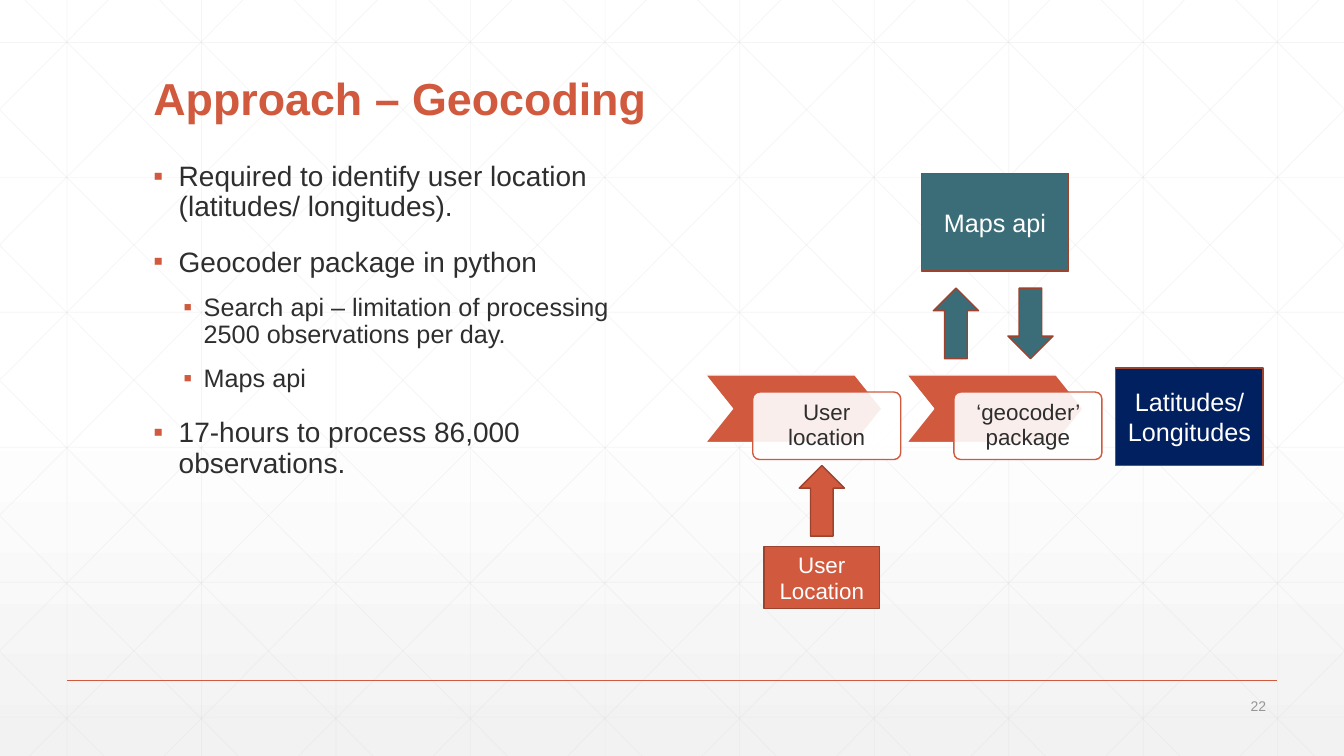
from lxml import etree
from pptx import Presentation
from pptx.dml.color import RGBColor
from pptx.enum.shapes import MSO_CONNECTOR, MSO_SHAPE
from pptx.enum.text import MSO_ANCHOR, MSO_AUTO_SIZE, PP_ALIGN
from pptx.oxml.ns import qn
from pptx.util import Cm, Pt

STRAIGHT = MSO_CONNECTOR.STRAIGHT
RECTANGLE, ROUNDED = MSO_SHAPE.RECTANGLE, MSO_SHAPE.ROUNDED_RECTANGLE
CHEVRON, DOWN_ARROW = MSO_SHAPE.CHEVRON, MSO_SHAPE.DOWN_ARROW
TOP, MIDDLE, BOTTOM = MSO_ANCHOR.TOP, MSO_ANCHOR.MIDDLE, MSO_ANCHOR.BOTTOM
LEFT, CENTER, RIGHT = PP_ALIGN.LEFT, PP_ALIGN.CENTER, PP_ALIGN.RIGHT

COLORS = {
    "accent": "D15A3E", "edge": "9B432E", "teal": "3B6D79", "navy": "002060",
    "text": "2D2E2D", "muted": "959795", "grid": "D9D9D9",
    "white": "FFFFFF", "shade": "F2F2F2",
}
FONT = "Arial"
WIDTH, HEIGHT = 33.87, 19.05
GRID_STEP = 3.39

BULLETS = [
    (0, "Required to identify user location (latitudes/ longitudes)."),
    (0, "Geocoder package in python"),
    (1, "Search api – limitation of processing 2500 observations per day."),
    (1, "Maps api"),
    (0, "17-hours to process 86,000 observations."),
]
# Per level: text size, space before, left margin and hanging indent in cm
LEVELS = [(20, 18, 0.64, 0.64), (18, 12, 1.27, 0.51)]


def color(name):
    return RGBColor.from_string(COLORS[name])


def set_format(target, values):
    for name, value in values.items():
        setattr(target, name, value)


def set_alpha(properties, percent):
    rgb = properties.find(".//" + qn("a:srgbClr"))
    etree.SubElement(rgb, qn("a:alpha")).set("val", str(percent * 1000))


def place(shape, box):
    names = ("left", "top", "width", "height")
    set_format(shape, dict(zip(names, map(Cm, box))))


def write(paragraph, text, size, color_name, bold=False, **layout):
    set_format(paragraph, layout)
    run = paragraph.add_run()
    run.text = text
    set_format(run.font, {"name": FONT, "size": Pt(size), "bold": bold})
    run.font.color.rgb = color(color_name)


def prepare_frame(shape, anchor):
    frame = shape.text_frame
    set_format(frame, {"word_wrap": True, "auto_size": MSO_AUTO_SIZE.NONE,
                       "vertical_anchor": anchor})
    return frame


def add_line(shapes, start, end, color_name, width):
    line = shapes.add_connector(STRAIGHT, *map(Cm, start + end))
    line.line.color.rgb = color(color_name)
    line.line.width = Pt(width)
    etree.SubElement(line._element.spPr, qn("a:effectLst"))
    return line


def add_block(slide, kind, box, fill, edge, text="", size=18,
              text_color="white", **layout):
    shape = slide.shapes.add_shape(kind, *map(Cm, box))
    shape.shadow.inherit = False
    shape.fill.solid()
    shape.fill.fore_color.rgb = color(fill)
    shape.line.color.rgb = color(edge)
    shape.line.width = Pt(1)
    if text:
        frame = prepare_frame(shape, MIDDLE)
        write(frame.paragraphs[0], text, size, text_color,
              alignment=CENTER, **layout)
    return shape


def diagonal(top_x):
    """Ends of a falling diagonal, clipped to the slide."""
    slope = 1.006
    start_x = max(top_x, 0)
    end_x = min(top_x + HEIGHT / slope, WIDTH)
    return [(x, (x - top_x) * slope) for x in (start_x, end_x)]


def add_background(slide):
    fill = slide.background.fill
    fill.gradient()
    fill.gradient_angle = 270
    stops = ((0.53, "white"), (1, "shade"))
    for stop, (position, name) in zip(fill.gradient_stops, stops):
        stop.position = position
        stop.color.rgb = color(name)

    ends = []
    for column in range(10):
        x = 1.69 + column * GRID_STEP
        ends.append([(x, 0), (x, HEIGHT)])
    for row in range(6):
        y = 1.07 + row * 3.4
        ends.append([(0, y), (WIDTH, y)])
    for index in range(-5, 10):
        falling = diagonal(0.63 + index * GRID_STEP)
        ends += [falling, [(WIDTH - x, y) for x, y in falling]]

    grid = slide.shapes.add_group_shape()
    for start, end in ends:
        line = add_line(grid.shapes, start, end, "grid", 0.5)
        set_alpha(line._element.spPr, 25)
    # Send the grid behind the placeholders
    slide.shapes._spTree.insert(2, grid._element)


def add_title(slide, box):
    title = slide.shapes.title
    place(title, box)
    frame = prepare_frame(title, BOTTOM)
    write(frame.paragraphs[0], "Approach – Geocoding", 32, "accent",
          bold=True, alignment=LEFT, line_spacing=0.9)


def set_bullet(paragraph, margin, hanging):
    properties = paragraph._p.get_or_add_pPr()
    properties.set("marL", str(Cm(margin)))
    properties.set("indent", str(-Cm(hanging)))
    bullet_color = etree.SubElement(properties, qn("a:buClr"))
    etree.SubElement(bullet_color, qn("a:srgbClr")).set("val", COLORS["accent"])
    etree.SubElement(properties, qn("a:buFont")).set("typeface", FONT)
    etree.SubElement(properties, qn("a:buChar")).set("char", "▪")


def add_bullets(slide, box):
    body = slide.placeholders[1]
    place(body, box)
    frame = prepare_frame(body, TOP)
    for index, (level, text) in enumerate(BULLETS):
        paragraph = frame.add_paragraph() if index else frame.paragraphs[0]
        size, before, margin, hanging = LEVELS[level]
        write(paragraph, text, size, "text", level=level, alignment=LEFT,
              line_spacing=0.9, space_before=Pt(before), space_after=Pt(0))
        set_bullet(paragraph, margin, hanging)


def add_footer(slide, box):
    left, top, width, height = box
    add_line(slide.shapes, (left, top), (left + width, top), "accent", 1)
    number_box = (left + width - 2.56, top + 0.33, 2.54, height - 0.33)
    number = slide.shapes.add_textbox(*map(Cm, number_box))
    frame = prepare_frame(number, MIDDLE)
    write(frame.paragraphs[0], "22", 10, "muted", alignment=RIGHT)


def add_step(slide, left, top, text):
    """A chevron with its label card overlapping the lower right."""
    chevron = add_block(slide, CHEVRON, (left, top, 4.45, 1.7),
                        "accent", "white")
    chevron.adjustments[0] = 0.4
    card = add_block(slide, ROUNDED, (left + 1.19, top + 0.43, 3.73, 1.7),
                     "white", "accent", text, 16, "text", line_spacing=0.9)
    card.adjustments[0] = 0.1
    set_alpha(card._element.spPr, 90)
    sides = ("left", "top", "right", "bottom")
    set_format(card.text_frame, {f"margin_{side}": Cm(0.34) for side in sides})


def add_geocoding_flow(slide, box):
    left, top, width, height = box
    for index, text in enumerate(("User location", "‘geocoder’ package")):
        add_step(slide, left + index * 5.07, top + 5.08, text)

    node_width, node_height, source_height = 3.71, 2.46, 1.57
    nodes = [
        ((1.47, height - source_height, 2.92, source_height),
         "accent", "User Location", 16),
        ((width - node_width, 4.9, node_width, node_height),
         "navy", "Latitudes/ Longitudes", 18),
        ((5.44, 0, node_width, node_height), "teal", "Maps api", 18),
    ]
    for (x, y, *extent), fill, text, size in nodes:
        add_block(slide, RECTANGLE, (left + x, top + y, *extent),
                  fill, "edge", text, size)

    arrows = [(2.36, 7.36, "accent", 180), (5.74, 2.89, "teal", 180),
              (7.62, 2.89, "teal", 0)]
    for x, y, fill, rotation in arrows:
        arrow = add_block(slide, DOWN_ARROW, (left + x, top + y, 1.14, 1.78),
                          fill, "edge")
        arrow.rotation = rotation


def main():
    presentation = Presentation()
    presentation.slide_width = Cm(WIDTH)
    presentation.slide_height = Cm(HEIGHT)
    slide = presentation.slides.add_slide(presentation.slide_layouts[1])
    add_background(slide)
    add_title(slide, (3.61, 0.1, 26.67, 3.18))
    add_bullets(slide, (3.61, 3.96, 13.44, 10.59))
    add_footer(slide, (1.69, 17.15, 30.49, 0.94))
    add_geocoding_flow(slide, (17.78, 4.37, 14.05, 10.97))
    presentation.save("out.pptx")


if __name__ == "__main__":
    main()
